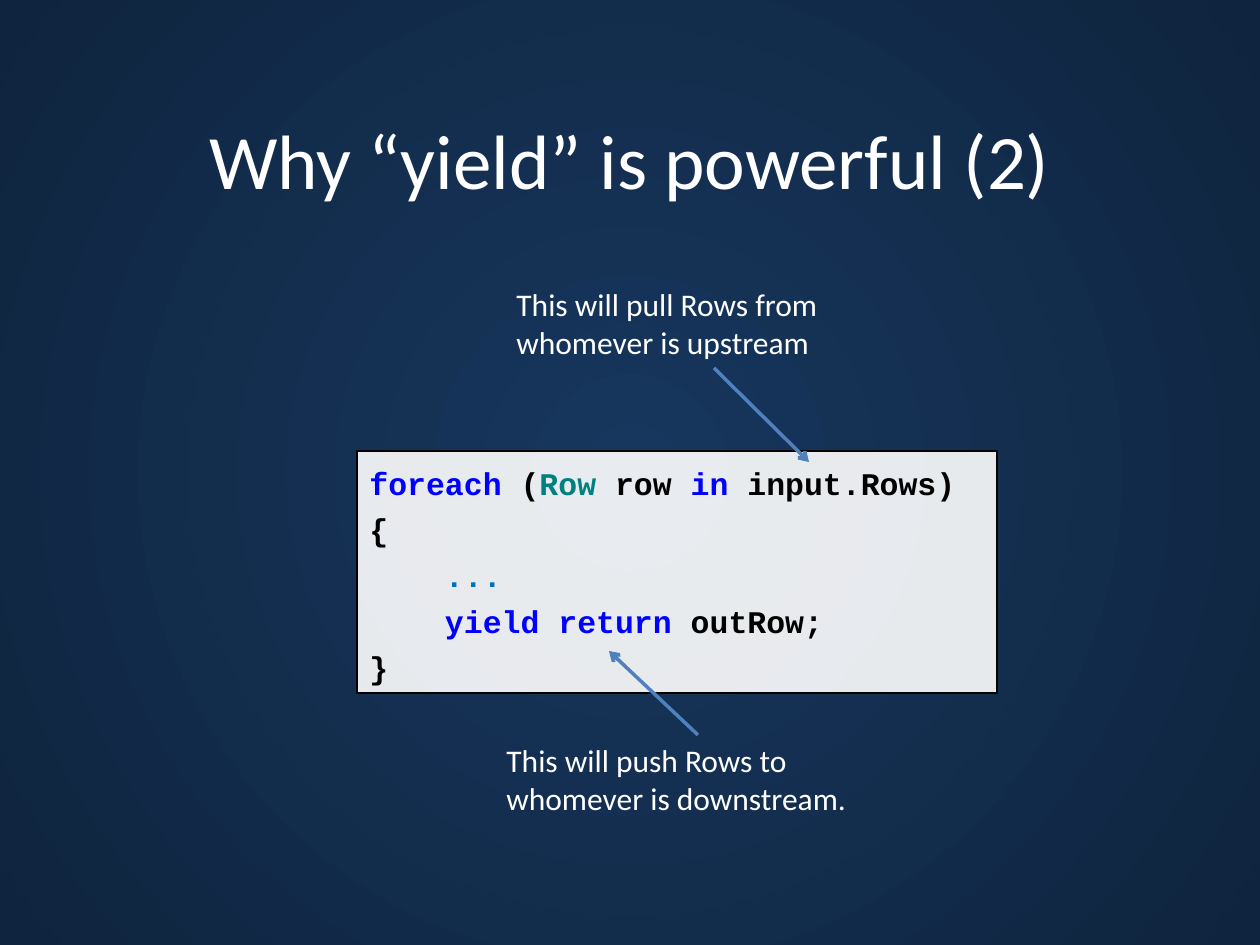
from lxml import etree
from pptx import Presentation
from pptx.dml.color import RGBColor
from pptx.enum.shapes import MSO_CONNECTOR, MSO_SHAPE
from pptx.enum.text import MSO_ANCHOR, PP_ALIGN
from pptx.oxml.ns import qn
from pptx.util import Emu, Pt

RECTANGLE = MSO_SHAPE.RECTANGLE
STRAIGHT = MSO_CONNECTOR.STRAIGHT
TOP, MIDDLE = MSO_ANCHOR.TOP, MSO_ANCHOR.MIDDLE
LEFT, CENTER = PP_ALIGN.LEFT, PP_ALIGN.CENTER

PX_PER_INCH = 126
WHITE, BLACK = "FFFFFF", "000000"
KEYWORD, TYPE, ELLIPSIS = "0000FF", "008080", "0070C0"
ARROW = "4F81BD"

CODE = [
    [("foreach", KEYWORD), (" (", BLACK), ("Row ", TYPE), ("row ", BLACK),
     ("in ", KEYWORD), ("input.Rows)", BLACK)],
    [("{", BLACK)],
    [("    ", WHITE), ("...", ELLIPSIS)],
    [("    ", BLACK), ("yield return ", KEYWORD), ("outRow;", BLACK)],
    [("}", BLACK)],
]


def px(length):
    return Emu(round(length * 914400 / PX_PER_INCH))


def color(value):
    return RGBColor.from_string(value)


def write(frame, lines, size=18, font="Calibri", bold=False, align=LEFT,
          anchor=TOP, gap=0, hanging=0):
    """Fill a text frame; each line is a list of (text, colour) spans."""
    frame.word_wrap = True
    frame.vertical_anchor = anchor
    for index, spans in enumerate(lines):
        para = frame.paragraphs[0] if index == 0 else frame.add_paragraph()
        para.alignment = align
        if index and gap:
            para.space_before = Pt(gap)
        if hanging:
            properties = para._p.get_or_add_pPr()
            properties.set("marL", str(px(hanging)))
            properties.set("indent", str(-px(hanging)))
        for text, hue in spans:
            span = para.add_run()
            span.text = text
            span.font.size = Pt(size)
            span.font.name = font
            span.font.bold = bold
            span.font.color.rgb = color(hue)


class SlideBuilder:
    def __init__(self, deck):
        self.slide = deck.slides.add_slide(deck.slide_layouts[6])

    def radial_background(self, inner, outer):
        fill = self.slide.background.fill
        fill.gradient()
        for stop, hue, position in zip(fill.gradient_stops, (inner, outer), (0, 1)):
            stop.color.rgb = color(hue)
            stop.position = position
        gradient = self.slide.background._cSld.find(".//" + qn("a:gradFill"))
        gradient.remove(gradient.find(qn("a:lin")))
        path = etree.SubElement(gradient, qn("a:path"), path="circle")
        etree.SubElement(path, qn("a:fillToRect"),
                         {side: "50000" for side in "ltrb"})

    def text(self, left, top, width, height, text, **style):
        box = self.slide.shapes.add_textbox(*map(px, (left, top, width, height)))
        write(box.text_frame, [[(text, WHITE)]], **style)

    def code_panel(self, left, top, width, height, lines):
        panel = self.slide.shapes.add_shape(
            RECTANGLE, *map(px, (left, top, width, height)))
        panel.shadow.inherit = False
        panel.fill.solid()
        panel.fill.fore_color.rgb = color(WHITE)
        hue = panel._element.spPr.find(".//" + qn("a:srgbClr"))
        etree.SubElement(hue, qn("a:alpha"), val="90000")
        panel.line.color.rgb = color(BLACK)
        panel.line.width = Pt(1.5)
        panel.text_frame.margin_top = px(13)
        write(panel.text_frame, lines, font="Courier New", bold=True,
              gap=4.7, hanging=38)

    def arrow(self, start, end):
        line = self.slide.shapes.add_connector(STRAIGHT, *map(px, start + end))
        line.line.color.rgb = color(ARROW)
        line.line.width = Pt(2)
        etree.SubElement(line.line._get_or_add_ln(), qn("a:tailEnd"), type="arrow")
        etree.SubElement(line._element.spPr, qn("a:effectLst"))


def main():
    deck = Presentation()
    deck.slide_width, deck.slide_height = px(1260), px(945)
    page = SlideBuilder(deck)
    page.radial_background("17375E", "0F243E")
    page.text(63, 97, 1134, 124, "Why “yield” is powerful (2)",
              size=44, align=CENTER, anchor=MIDDLE)
    page.code_panel(357, 451, 640, 242, CODE)
    page.text(504, 279, 420, 89, "This will pull Rows from whomever is upstream")
    page.text(494, 735, 410, 89, "This will push Rows to whomever is downstream.")
    page.arrow((698, 735), (609, 651))
    page.arrow((714, 368), (809, 462))
    deck.save("out.pptx")


if __name__ == "__main__":
    main()
